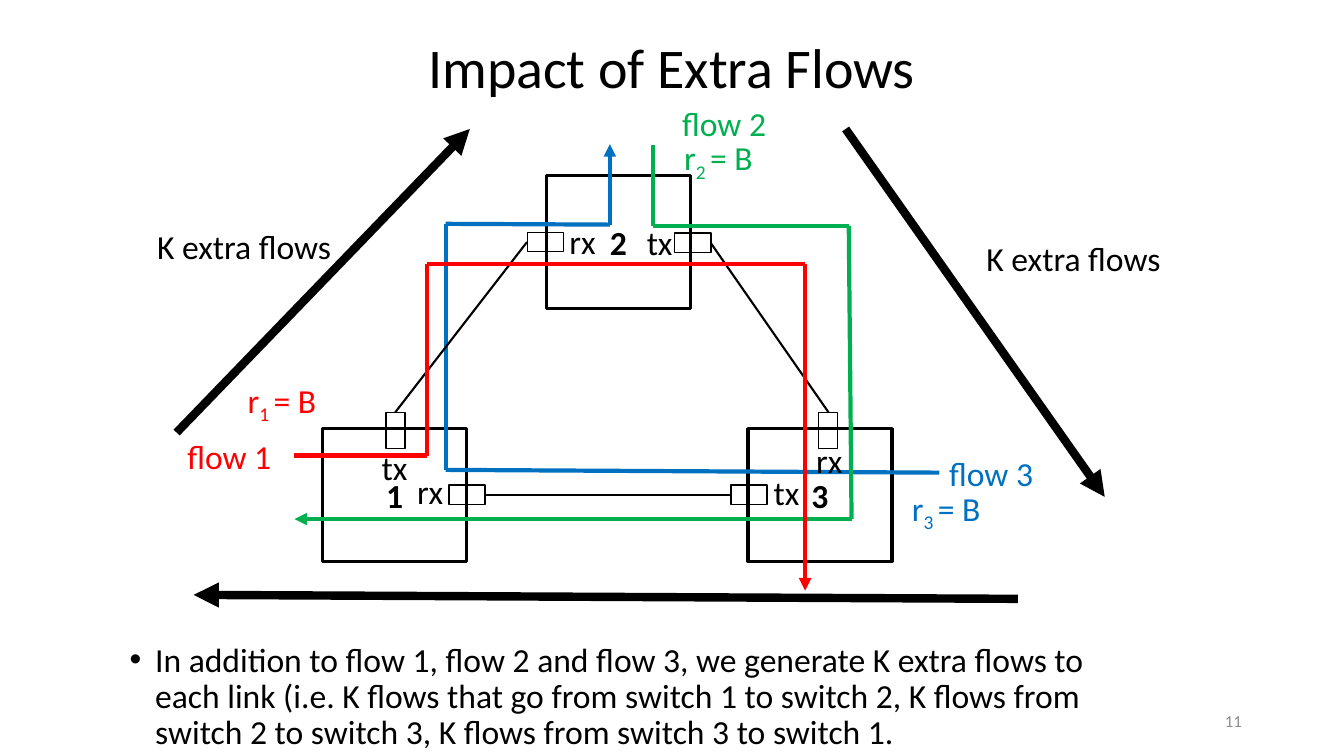
"""Draw three switches in a ring, their three flows and the extra flows."""
from dataclasses import dataclass
from itertools import pairwise

from lxml import etree
from pptx import Presentation, dml, util as u
from pptx.dml import color
from pptx.enum import shapes, text
from pptx.oxml import ns

HUES = {"black": "000000", "red": "FF0000", "green": "00B050",
        "blue": "0070C0", "gray": "8C8C8C"}
FONT = "Calibri"
BOX = (3.63, 3.35)
PORT = (0.48, 0.91)
ROW = 1.27


@dataclass(frozen=True)
class Route:
    hue: str
    width: float
    points: tuple
    arrow: bool = True


@dataclass(frozen=True)
class Block:
    left: float
    top: float
    size: tuple
    line: float
    name: str = ""
    turn: int = 0


@dataclass(frozen=True)
class Label:
    left: float
    top: float
    width: float
    words: tuple
    hue: str = "black"
    height: float = ROW
    points: int = 24
    wrap: bool = False
    align: text.PP_ALIGN = text.PP_ALIGN.LEFT
    anchor: text.MSO_ANCHOR = text.MSO_ANCHOR.TOP


ROUTES = [
    Route("blue", 3, ((23.67, 11.91), (11.23, 11.84), (11.23, 5.64),
                      (15.37, 5.66), (15.37, 3.63))),
    Route("black", 1.5, ((13.28, 6.1), (9.96, 10.39)), False),
    Route("black", 1.5, ((17.91, 6.12), (20.88, 10.39)), False),
    Route("black", 1.5, ((12.24, 12.47), (18.42, 12.47)), False),
    Route("green", 3, ((16.46, 3.66), (16.46, 5.69), (21.39, 5.69),
                       (21.46, 13.08), (7.42, 13.08))),
    Route("red", 3, ((7.42, 11.48), (10.77, 11.48), (10.77, 6.65),
                     (20.29, 6.65), (20.29, 14.88))),
    Route("black", 6, ((4.45, 10.9), (11.84, 3.25))),
    Route("black", 6, ((21.31, 3.25), (27.84, 12.52))),
    Route("black", 6, ((25.65, 15.09), (4.88, 14.99))),
]
BLOCKS = [Block(x, y, BOX, 2.25, name) for name, x, y in (
    ("1", 8.13, 10.8), ("2", 13.77, 4.42), ("3", 18.85, 10.8))]
BLOCKS += [Block(x, y, PORT, 1, turn=turn) for x, y, turn in (
    (13.51, 5.64, 270), (17.22, 5.66, 270), (11.53, 12.01, 270),
    (18.64, 12.01, 270), (9.73, 10.39, 180), (20.62, 10.39, 180))]

LABELS = [Label(x, y, 1.17, (word,)) for word, x, y in (
    ("rx", 14.1, 5.44), ("tx", 16.05, 5.46), ("tx", 9.37, 11.13),
    ("rx", 10.26, 11.73), ("rx", 20.32, 10.95), ("tx", 19.25, 11.76))]
LABELS += [Label(x, y, 4.95, ("K extra flows",))
           for x, y in ((3.71, 5.56), (24.61, 5.87))]
for num, hue, flow, rate in (
        (1, "red", (4.47, 10.85), (5.99, 9.45)),
        (2, "green", (16.94, 2.46), (16.99, 3.33)),
        (3, "blue", (23.67, 11.3), (22.73, 12.17))):
    LABELS += [Label(*flow, 2.64, (f"flow {num}",), hue),
               Label(*rate, 2.31, ("r", f"{num} ", "= B"), hue)]
TITLE = Label(1.27, 0.69, 31.32, ("Impact of Extra Flows",), height=1.96,
              points=40, wrap=True, align=text.PP_ALIGN.CENTER)
NUMBER = Label(23.93, 17.65, 7.62, ("11",), "gray", 1.02, 12, True,
               text.PP_ALIGN.RIGHT, text.MSO_ANCHOR.MIDDLE)
NOTE = Label(3.02, 16.08, 24.69, (
    "In addition to flow 1, flow 2 and flow 3, we generate K extra flows to "
    "each link (i.e. K flows that go from switch 1 to switch 2, K flows from "
    "switch 2 to switch 3, K flows from switch 3 to switch 1. ",),
    height=3, wrap=True)


def tint(hue: str) -> color.RGBColor:
    return color.RGBColor.from_string(HUES[hue])


def write(para, words: str, points: int, hue: str, bold: bool = False):
    run = para.add_run()
    run.text = words
    run.font.name, run.font.size, run.font.bold = FONT, u.Pt(points), bold
    run.font.color.rgb = tint(hue)
    return run


def draw_route(slide, route: Route) -> None:
    legs = list(pairwise(route.points))
    for start, end in legs:
        line = slide.shapes.add_connector(
            shapes.MSO_CONNECTOR.STRAIGHT, *map(u.Cm, start + end))
        line.line.color.rgb = tint(route.hue)
        line.line.width = u.Pt(route.width)
        if route.arrow and (start, end) == legs[-1]:
            tail = etree.SubElement(line.line._get_or_add_ln(), ns.qn("a:tailEnd"))
            tail.set("type", "triangle")
        etree.SubElement(line._element.spPr, ns.qn("a:effectLst"))


def draw_block(slide, block: Block) -> None:
    shape = slide.shapes.add_shape(
        shapes.MSO_SHAPE.RECTANGLE,
        *map(u.Cm, (block.left, block.top, *block.size)))
    shape.shadow.inherit = False
    shape.fill.background()
    shape.line.color.rgb = tint("black")
    shape.line.width = u.Pt(block.line)
    shape.rotation = block.turn
    if block.name:
        shape.text_frame.vertical_anchor = text.MSO_ANCHOR.MIDDLE
        para = shape.text_frame.paragraphs[0]
        para.alignment = text.PP_ALIGN.CENTER
        write(para, block.name, 24, "black", True)


def draw_label(slide, label: Label):
    box = slide.shapes.add_textbox(
        *map(u.Cm, (label.left, label.top, label.width, label.height)))
    frame = box.text_frame
    frame.word_wrap = label.wrap
    frame.vertical_anchor = label.anchor
    if not label.wrap:
        frame.auto_size = text.MSO_AUTO_SIZE.SHAPE_TO_FIT_TEXT
    para = frame.paragraphs[0]
    para.alignment = label.align
    for spot, words in enumerate(label.words):
        run = write(para, words, label.points, label.hue)
        if spot == 1:
            run.font._element.set("baseline", "-25000")
    return para


def add_bullet(para) -> None:
    para.line_spacing, para.space_before = 0.9, u.Pt(10)
    props = para._p.get_or_add_pPr()
    props.set("marL", str(u.Cm(0.64)))
    props.set("indent", str(u.Cm(-0.64)))
    font = etree.SubElement(props, ns.qn("a:buFont"))
    font.set("typeface", "Arial")
    etree.SubElement(props, ns.qn("a:buChar")).set("char", "•")


def main() -> None:
    deck = Presentation()
    deck.slide_width, deck.slide_height = u.Cm(33.87), u.Cm(19.05)
    slide = deck.slides.add_slide(deck.slide_layouts[6])
    for block in BLOCKS:
        draw_block(slide, block)
    for route in ROUTES:
        draw_route(slide, route)
    for label in (*LABELS, TITLE, NUMBER):
        draw_label(slide, label)
    add_bullet(draw_label(slide, NOTE))
    deck.save("out.pptx")


main()
